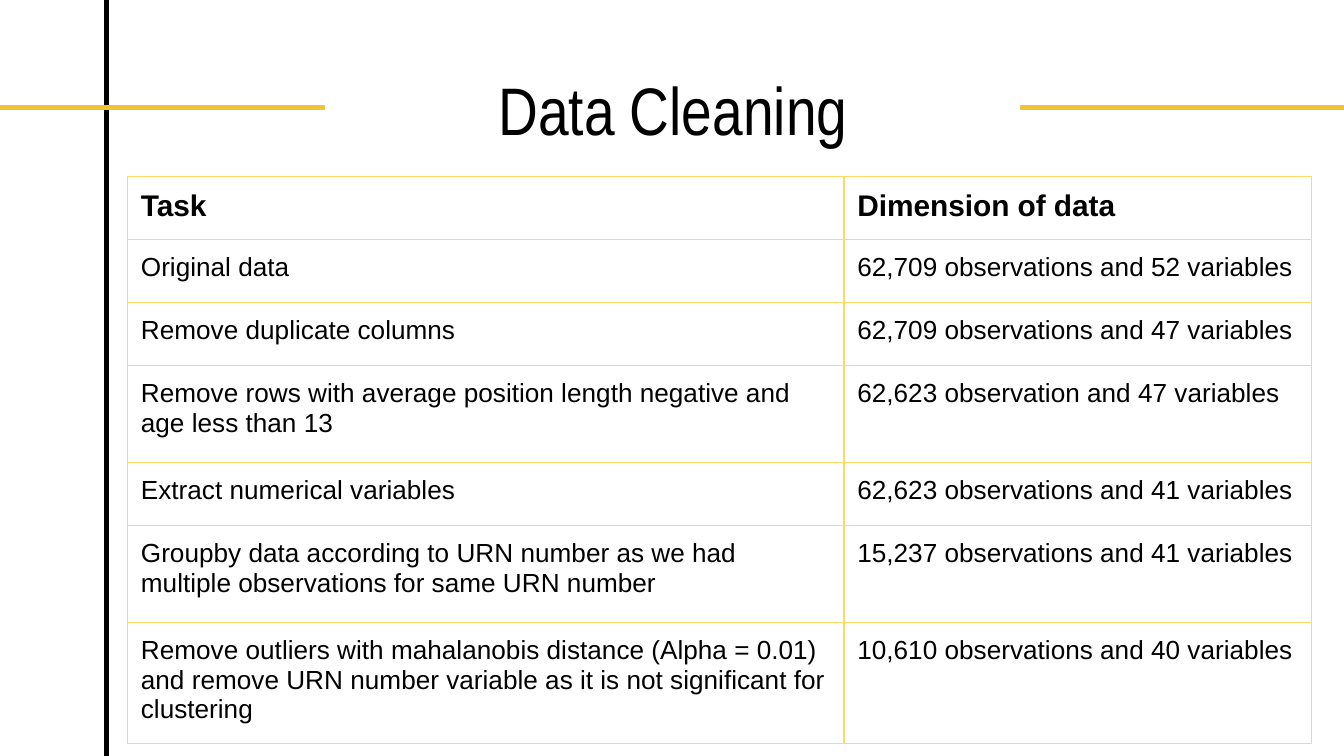
from dataclasses import dataclass

from lxml import etree
from pptx import Presentation
from pptx.dml.color import RGBColor
from pptx.enum.shapes import MSO_CONNECTOR, MSO_SHAPE
from pptx.enum.text import MSO_ANCHOR, PP_ALIGN
from pptx.oxml.ns import qn
from pptx.util import Pt

STRAIGHT = MSO_CONNECTOR.STRAIGHT
RECTANGLE = MSO_SHAPE.RECTANGLE
TOP = MSO_ANCHOR.TOP
LEFT, CENTER = PP_ALIGN.LEFT, PP_ALIGN.CENTER


@dataclass(frozen=True)
class Theme:
    ink: str = "000000"
    paper: str = "FFFFFF"
    accent: str = "F1C232"
    grid: str = "FFD966"
    title_font: str = "Arial Narrow"
    body_font: str = "Arial"
    title_size: float = 36
    header_size: float = 16
    body_size: float = 14
    rule_width: float = 3
    grid_width: float = 0.75
    inset: float = 7.2


THEME = Theme()
PAGE_WIDTH, PAGE_HEIGHT = 720, 405

CLEANING_STEPS = [
    ("Task", "Dimension of data"),
    ("Original data", "62,709 observations and 52 variables"),
    ("Remove duplicate columns", "62,709 observations and 47 variables"),
    ("Remove rows with average position length negative and age less than 13",
     "62,623 observation and 47 variables"),
    ("Extract numerical variables", "62,623 observations and 41 variables"),
    ("Groupby data according to URN number as we had multiple observations "
     "for same URN number", "15,237 observations and 41 variables"),
    ("Remove outliers with mahalanobis distance (Alpha = 0.01) and remove URN "
     "number variable as it is not significant for clustering",
     "10,610 observations and 40 variables"),
]
SHORT_ROW, TALL_ROW = 33.8, 52
ROW_HEIGHTS = [SHORT_ROW] * 3 + [TALL_ROW, SHORT_ROW, TALL_ROW, TALL_ROW]
COLUMN_SHARES = (0.605, 0.395)


def write_text(frame, text, *, size, font=THEME.body_font, bold=False, align=LEFT):
    frame.word_wrap = True
    para = frame.paragraphs[0]
    para.alignment = align
    span = para.add_run()
    span.text = text
    span.font.name = font
    span.font.size = Pt(size)
    span.font.bold = bold
    span.font.color.rgb = RGBColor.from_string(THEME.ink)


def set_insets(target):
    for side in ("left", "top", "right", "bottom"):
        setattr(target, f"margin_{side}", Pt(THEME.inset))


def add_rule(page, start, end, color):
    rule = page.shapes.add_connector(STRAIGHT, *map(Pt, start + end))
    rule.line.color.rgb = RGBColor.from_string(color)
    rule.line.width = Pt(THEME.rule_width)
    etree.SubElement(rule._element.spPr, qn("a:effectLst"))


def add_cell_borders(cell):
    properties = cell._tc.get_or_add_tcPr()
    for position, side in enumerate(("lnL", "lnR", "lnT", "lnB")):
        border = etree.Element(qn(f"a:{side}"), w=str(Pt(THEME.grid_width)))
        fill = etree.SubElement(border, qn("a:solidFill"))
        etree.SubElement(fill, qn("a:srgbClr"), val=THEME.grid)
        properties.insert(position, border)


def add_backdrop(page, left, top, width, height):
    # Crossing rules, broken by a plain panel behind the title
    add_rule(page, (left + 57, top), (left + 57, top + height), THEME.ink)
    add_rule(page, (left, top + 57.5), (left + width, top + 57.5), THEME.accent)
    panel = page.shapes.add_shape(
        RECTANGLE, Pt(left + 174), Pt(top + 6.5), Pt(372.5), Pt(81.5))
    panel.shadow.inherit = False
    panel.fill.solid()
    panel.fill.fore_color.rgb = RGBColor.from_string(THEME.paper)
    panel.line.fill.background()


def add_title(page, text, left, top, width, height):
    box = page.shapes.add_textbox(Pt(left), Pt(top), Pt(width), Pt(height))
    set_insets(box.text_frame)
    box.text_frame.vertical_anchor = TOP
    write_text(box.text_frame, text, size=THEME.title_size,
               font=THEME.title_font, align=CENTER)


def add_steps_table(page, steps, left, top, width):
    holder = page.shapes.add_table(
        len(steps), len(COLUMN_SHARES),
        Pt(left), Pt(top), Pt(width), Pt(sum(ROW_HEIGHTS)))
    table = holder.table
    table.first_row = table.horz_banding = False
    for column, share in zip(table.columns, COLUMN_SHARES):
        column.width = Pt(width * share)
    for index, (row, height, texts) in enumerate(zip(table.rows, ROW_HEIGHTS, steps)):
        row.height = Pt(height)
        header = index == 0
        for cell, text in zip(row.cells, texts):
            cell.fill.background()
            cell.vertical_anchor = TOP
            set_insets(cell)
            add_cell_borders(cell)
            write_text(cell.text_frame, text, bold=header,
                       size=THEME.header_size if header else THEME.body_size)


def main():
    deck = Presentation()
    deck.slide_width, deck.slide_height = Pt(PAGE_WIDTH), Pt(PAGE_HEIGHT)
    page = deck.slides.add_slide(deck.slide_layouts[6])
    page.background.fill.solid()
    page.background.fill.fore_color.rgb = RGBColor.from_string(THEME.paper)
    add_backdrop(page, 0, 0, PAGE_WIDTH, PAGE_HEIGHT)
    add_title(page, "Data Cleaning", 57, 29.5, 607, 54.5)
    add_steps_table(page, CLEANING_STEPS, 68.3, 94.5, 634.4)
    deck.save("out.pptx")


if __name__ == "__main__":
    main()
